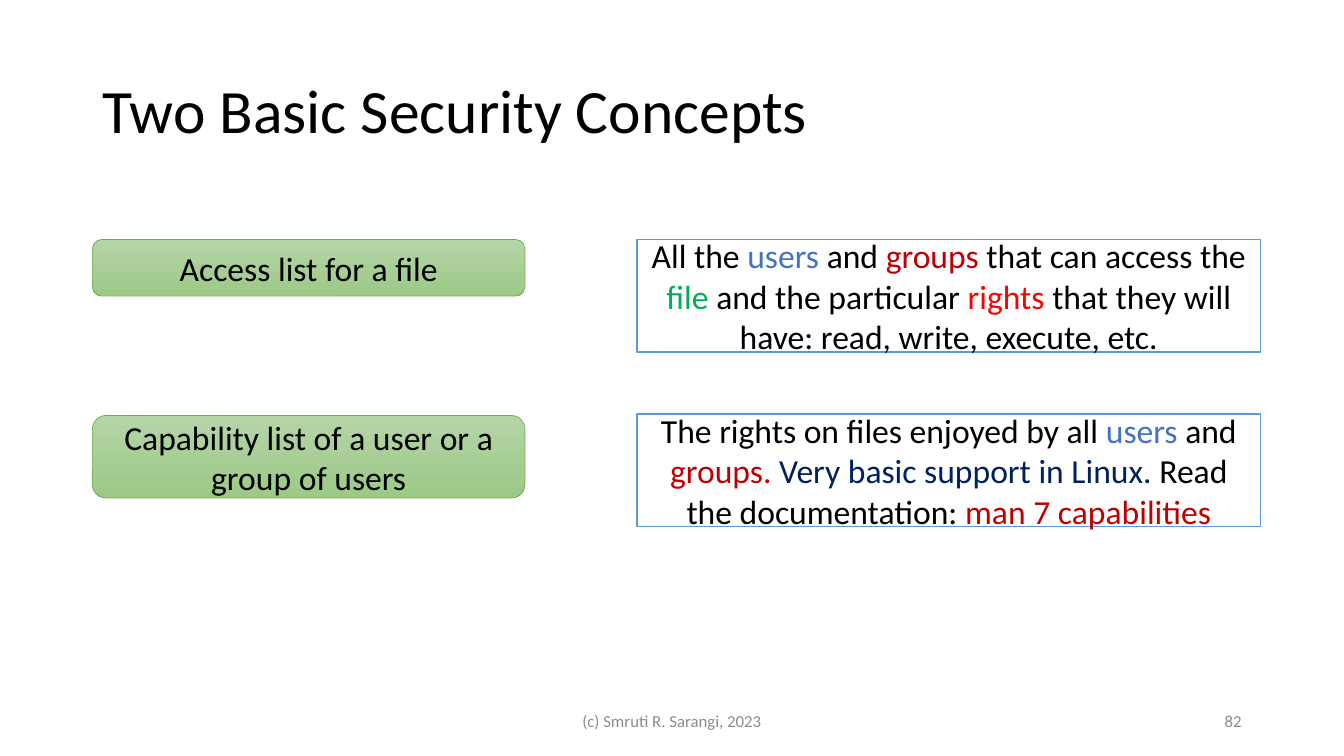
import pptx
import pptx.dml.color
import pptx.enum.shapes
import pptx.enum.text
import pptx.util

Pt = pptx.util.Pt
RGBColor = pptx.dml.color.RGBColor
Shape = pptx.enum.shapes.MSO_SHAPE
Align = pptx.enum.text.PP_ALIGN
Anchor = pptx.enum.text.MSO_ANCHOR

BLACK = RGBColor(0x00, 0x00, 0x00)
WHITE = RGBColor(0xFF, 0xFF, 0xFF)
GREY = RGBColor(0x8C, 0x8C, 0x8C)
BLUE = RGBColor(0x44, 0x72, 0xC4)
NAVY = RGBColor(0x00, 0x20, 0x60)
CRIMSON = RGBColor(0xC0, 0x00, 0x00)
RED = RGBColor(0xFF, 0x00, 0x00)
GREEN = RGBColor(0x00, 0xB0, 0x50)
LEAF_TOP = RGBColor(0xB5, 0xD5, 0xA7)
LEAF_BOTTOM = RGBColor(0x9C, 0xC9, 0x87)
LEAF_EDGE = RGBColor(0x70, 0xAD, 0x47)
SKY_EDGE = RGBColor(0x5B, 0x9B, 0xD5)


class ConceptSlide:
    font_name = "Calibri"
    title_size = 44
    body_size = 24
    footer_size = 12

    def __init__(self, deck):
        self.slide = deck.slides.add_slide(deck.slide_layouts[5])

    def set_words(self, holder, spans, size, align):
        frame = holder.text_frame
        frame.word_wrap = True
        frame.auto_size = pptx.enum.text.MSO_AUTO_SIZE.NONE
        frame.vertical_anchor = Anchor.MIDDLE
        line = frame.paragraphs[0]
        line.alignment = align
        for words, color in spans:
            run = line.add_run()
            run.text = words
            run.font.name = self.font_name
            run.font.size = Pt(size)
            run.font.color.rgb = color
        return line

    def title(self, words, left, top, width, height):
        heading = self.slide.shapes.title
        heading.left, heading.top = Pt(left), Pt(top)
        heading.width, heading.height = Pt(width), Pt(height)
        line = self.set_words(heading, [(words, BLACK)], self.title_size, Align.LEFT)
        line.line_spacing = 0.9

    def footer(self, words, left, width, align):
        note = self.slide.shapes.add_textbox(Pt(left), Pt(500.5), Pt(width), Pt(28.75))
        self.set_words(note, [(words, GREY)], self.footer_size, align)

    def box(self, preset, bounds, spans, edge, edge_width):
        panel = self.slide.shapes.add_shape(preset, *map(Pt, bounds))
        panel.shadow.inherit = False
        panel.line.color.rgb = edge
        panel.line.width = Pt(edge_width)
        self.set_words(panel, spans, self.body_size, Align.CENTER)
        return panel

    def concept(self, words, top, height):
        bounds = (66, top, 309, height)
        panel = self.box(Shape.ROUNDED_RECTANGLE, bounds, [(words, BLACK)], LEAF_EDGE, 0.5)
        panel.fill.gradient()
        panel.fill.gradient_angle = 270
        for stop, color, position in zip(
            panel.fill.gradient_stops, (LEAF_TOP, LEAF_BOTTOM), (0, 1)
        ):
            stop.color.rgb = color
            stop.position = position

    def meaning(self, spans, top):
        panel = self.box(Shape.RECTANGLE, (455, top, 445.5, 80.5), spans, SKY_EDGE, 1)
        panel.fill.solid()
        panel.fill.fore_color.rgb = WHITE


def main():
    deck = pptx.Presentation()
    deck.slide_width, deck.slide_height = Pt(960), Pt(540)
    security = ConceptSlide(deck)
    security.title("Two Basic Security Concepts", 66, 28.75, 828, 104.4)
    security.footer("(c) Smruti R. Sarangi, 2023", 318, 324, Align.CENTER)
    security.footer("82", 678, 216, Align.RIGHT)

    security.concept("Access list for a file", 171, 40.5)
    security.meaning(
        [
            ("All the ", BLACK),
            ("users", BLUE),
            (" and ", BLACK),
            ("groups", CRIMSON),
            (" that can access the ", BLACK),
            ("file", GREEN),
            (" and the particular ", BLACK),
            ("rights", RED),
            (" that they will have: read, write, execute, etc.", BLACK),
        ],
        171,
    )
    security.concept("Capability list of a user or a group of users", 296.75, 59)
    security.meaning(
        [
            ("The rights on files enjoyed by all ", BLACK),
            ("users", BLUE),
            (" and ", BLACK),
            ("groups. ", CRIMSON),
            ("Very basic support in Linux. ", NAVY),
            ("Read the documentation: ", BLACK),
            ("man 7 capabilities", CRIMSON),
        ],
        295.75,
    )
    deck.save("out.pptx")


if __name__ == "__main__":
    main()
